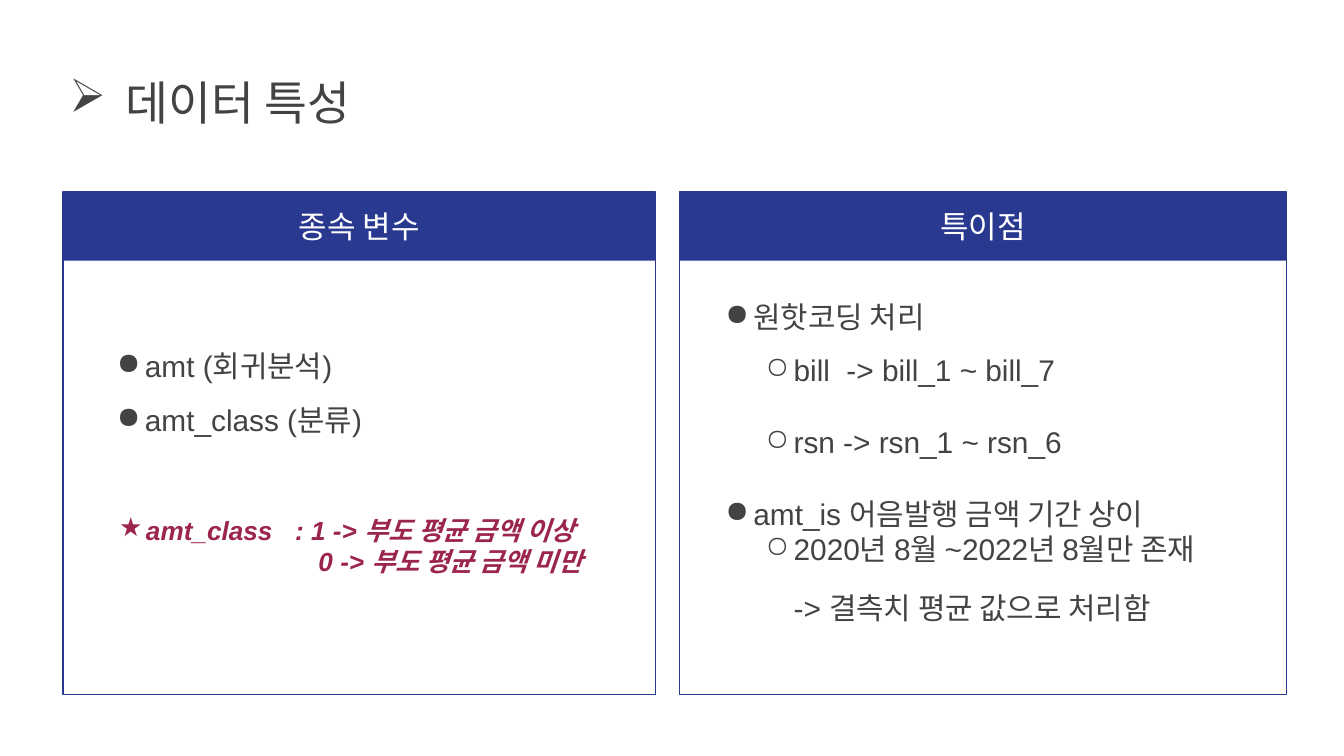
"""Build a slide on data characteristics with two headed panels."""
from dataclasses import dataclass

from lxml import etree
from pptx import Presentation
from pptx.dml.color import RGBColor
from pptx.enum import shapes, text
from pptx.oxml import ns
from pptx.util import Cm, Pt

NAVY = RGBColor(0x2A, 0x39, 0x90)
GREY = RGBColor(0x43, 0x43, 0x43)
CRIMSON = RGBColor(0x9C, 0x25, 0x4D)
WHITE = RGBColor(0xFF, 0xFF, 0xFF)

PANEL_TOP, HEADER_HEIGHT, PANEL_HEIGHT = 3.63, 1.3, 9.5
BODY = {"size": Pt(16), "color": GREY}
NOTE = {"size": Pt(14), "color": CRIMSON, "bold": True, "italic": True}
HEADING = {"size": Pt(16.6), "color": WHITE}
TITLE = {"size": Pt(25), "color": GREY}


@dataclass
class Line:
    text: str
    bullet: str = ""
    indent: float = 0
    hang: float = 0
    spacing: float = 1
    before: float = 0
    level: int = 0
    tab: float = 0


@dataclass
class Panel:
    heading: str
    left: float
    width: float


@dataclass
class Block:
    left: float
    top: float
    width: float
    height: float
    style: dict
    lines: list[Line]


def item(words: str, spacing: float = 1.5, before: float = 0) -> Line:
    return Line(words, "●", 0.99, 0.53, spacing, before)


def subitem(words: str, spacing: float = 1) -> Line:
    return Line(words, "○", 1.75, 0.53, spacing, level=1)


PANELS = [Panel("종속 변수", 1.19, 11.2), Panel("특이점", 12.84, 11.48)]
BLOCKS = [
    Block(1.5, 5.99, 12.01, 2.92, BODY, [
        item("amt (회귀분석)", before=12),
        item("amt_class (분류)"),
    ]),
    Block(1.52, 9.47, 10.54, 2.03, NOTE, [
        Line("amt_class\t: 1 -> 부도 평균 금액 이상", "★", 0.99, 0.51, tab=3.81),
        Line("0 -> 부도 평균 금액 미만", indent=4.25),
    ]),
    Block(13, 5.05, 11.48, 6.93, BODY, [
        item("원핫코딩 처리", before=12),
        subitem("bill  -> bill_1 ~ bill_7", 1.5),
        subitem("rsn -> rsn_1 ~ rsn_6", 2),
        item("amt_is 어음발행 금액 기간 상이", 2),
        subitem("2020년 8월 ~2022년 8월만 존재"),
        Line("-> 결측치 평균 값으로 처리함", indent=1.75, before=12),
    ]),
]


def set_frame(tf, anchor) -> None:
    settings = {"word_wrap": True, "auto_size": text.MSO_AUTO_SIZE.NONE,
                "vertical_anchor": anchor}
    settings.update({f"margin_{side}": Cm(0.25)
                     for side in ("left", "top", "right", "bottom")})
    for name, value in settings.items():
        setattr(tf, name, value)


def write_run(p, words: str, style: dict) -> None:
    r = p.add_run()
    r.text = words
    r.font.name = "Arial"
    for name, value in style.items():
        if name == "color":
            r.font.color.rgb = value
        else:
            setattr(r.font, name, value)


def format_indent(p, line: Line, color: RGBColor) -> None:
    props = p._p.get_or_add_pPr()
    props.set("marL", str(Cm(line.indent)))
    props.set("indent", str(-Cm(line.hang)))
    if line.bullet:
        tint = etree.SubElement(props, ns.qn("a:buClr"))
        etree.SubElement(tint, ns.qn("a:srgbClr"), val=str(color))
        etree.SubElement(props, ns.qn("a:buChar"), char=line.bullet)
    else:
        etree.SubElement(props, ns.qn("a:buNone"))
    if line.tab:
        tabs = etree.SubElement(props, ns.qn("a:tabLst"))
        etree.SubElement(tabs, ns.qn("a:tab"), pos=str(Cm(line.tab)), algn="l")


def write_lines(tf, lines: list[Line], style: dict) -> None:
    set_frame(tf, text.MSO_ANCHOR.TOP)
    for i, line in enumerate(lines):
        p = tf.add_paragraph() if i else tf.paragraphs[0]
        settings = {"alignment": text.PP_ALIGN.LEFT, "level": line.level,
                    "line_spacing": line.spacing, "space_before": Pt(line.before)}
        for name, value in settings.items():
            setattr(p, name, value)
        format_indent(p, line, style["color"])
        write_run(p, line.text, style)


def add_panel(s, panel: Panel) -> None:
    header, frame = [
        s.shapes.add_shape(shapes.MSO_SHAPE.RECTANGLE, Cm(panel.left),
                           Cm(PANEL_TOP), Cm(panel.width), Cm(height))
        for height in (HEADER_HEIGHT, PANEL_HEIGHT)
    ]
    for sp in (header, frame):
        sp.shadow.inherit = False
    header.fill.solid()
    header.fill.fore_color.rgb = NAVY
    header.line.fill.background()
    frame.fill.background()
    frame.line.color.rgb = NAVY
    frame.line.width = Pt(0.75)
    set_frame(header.text_frame, text.MSO_ANCHOR.MIDDLE)
    p = header.text_frame.paragraphs[0]
    p.alignment = text.PP_ALIGN.CENTER
    write_run(p, panel.heading, HEADING)


def add_block(s, block: Block) -> None:
    sp = s.shapes.add_textbox(Cm(block.left), Cm(block.top),
                              Cm(block.width), Cm(block.height))
    write_lines(sp.text_frame, block.lines, block.style)


def add_title(s, line: Line) -> None:
    sp = s.shapes.title
    place = {"left": 0.86, "top": 1.14, "width": 23.67, "height": 1.68}
    for name, value in place.items():
        setattr(sp, name, Cm(value))
    write_lines(sp.text_frame, [line], TITLE)


def main() -> None:
    prs = Presentation()
    prs.slide_width, prs.slide_height = Cm(25.4), Cm(14.29)
    s = prs.slides.add_slide(prs.slide_layouts[5])
    add_title(s, Line("데이터 특성", "➢", 1.27, 1.07))
    for panel in PANELS:
        add_panel(s, panel)
    for block in BLOCKS:
        add_block(s, block)
    prs.save("out.pptx")


if __name__ == "__main__":
    main()
